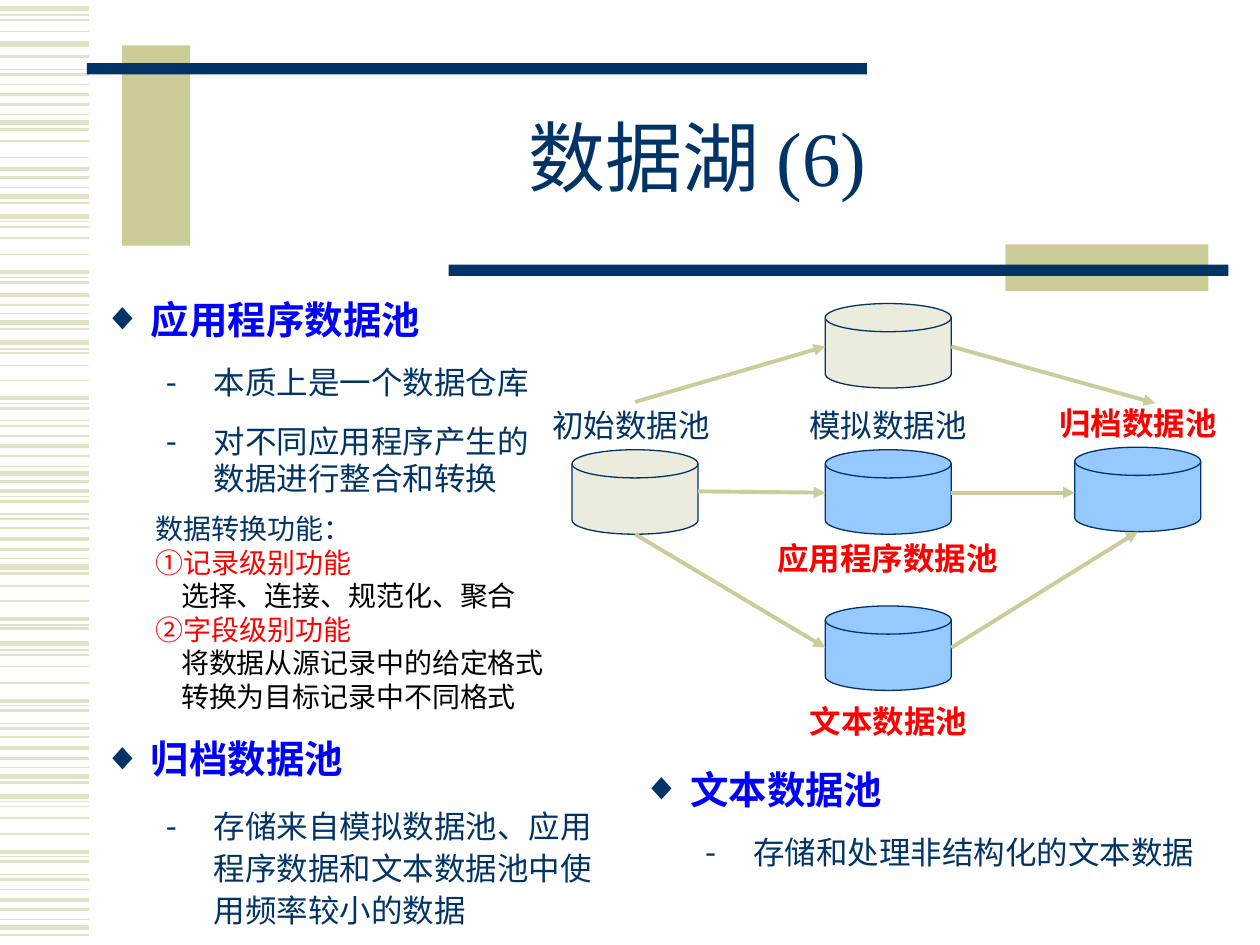
from lxml import etree
from pptx import Presentation
from pptx.dml.color import RGBColor
from pptx.enum import shapes, text
from pptx.oxml import ns
from pptx.util import Inches, Pt

COLORS = {"navy": "003366", "khaki": "CCCC99", "stripe": "E3E2C7", "blue": "0000FF",
          "red": "FF0000", "black": "000000", "cream": "ECECDE", "sky": "95C9FF"}
FONT = "Times New Roman"

deck = Presentation()
deck.slide_width, deck.slide_height = Inches(10), Inches(7.5)
slide = deck.slides.add_slide(deck.slide_layouts[6])


def add_line(start, end, color, weight, arrow=False):
    line = slide.shapes.add_connector(
        shapes.MSO_CONNECTOR.STRAIGHT, *[Inches(v) for v in (*start, *end)])
    line.line.color.rgb = RGBColor.from_string(COLORS[color])
    line.line.width = Pt(weight)
    if arrow:
        etree.SubElement(line.line._get_or_add_ln(), ns.qn("a:tailEnd"), type="triangle")
    etree.SubElement(line._element.spPr, ns.qn("a:effectLst"))


def add_run(paragraph, wording, size, color, bold=False):
    run = paragraph.add_run()
    run.text = wording
    run.font.size, run.font.bold, run.font.name = Pt(size), bold, FONT
    run.font.color.rgb = RGBColor.from_string(COLORS[color])


stripes = {
    0.75: [0.12, 0.55, 0.91, 1.49, 1.76, 2.2, 2.49, 2.77, 3.2, 3.34, 3.7, 3.94, 4.08, 4.43,
           4.96, 5.16, 5.6, 5.74, 6.09, 6.36, 6.8, 6.94, 7.3],
    1: [0.16, 0.25, 0.67, 1.12, 1.25, 1.8, 1.89, 2.02, 2.8, 2.9, 3.02, 3.46, 4.19, 4.65,
        4.77, 5.2, 5.29, 5.42, 5.85, 6.4, 6.49, 6.62, 7.06],
    1.5: [0.45, 0.59, 0.83, 1.03, 1.41, 1.61, 2.24, 2.42, 2.61, 3.24, 3.38, 3.62, 3.82, 3.98,
          4.12, 4.36, 4.55, 4.99, 5.64, 5.78, 6.02, 6.21, 6.84, 6.98, 7.22, 7.42],
    2.25: [0.75, 1.34, 2.16, 2.34, 3.16, 3.54, 3.9, 4.28, 4.91, 5.56, 5.94, 6.76, 7.14],
    3: [0.07, 0.35, 0.97, 1.56, 1.72, 2.56, 2.72, 3.76, 4.5, 5.11, 6.16, 6.32, 7.36],
}
for weight, heights in stripes.items():
    for y in heights:
        add_line((0, y), (0.71, y), "stripe", weight)

for *place, color in [(0.97, 0.36, 0.54, 1.59, "khaki"), (0.69, 0.5, 6.19, 0.09, "navy"),
                      (7.98, 1.94, 1.61, 0.37, "khaki"), (3.56, 2.1, 6.19, 0.09, "navy")]:
    bar = slide.shapes.add_shape(shapes.MSO_SHAPE.RECTANGLE, *[Inches(v) for v in place])
    bar.shadow.inherit = False
    bar.fill.solid()
    bar.fill.fore_color.rgb = RGBColor.from_string(COLORS[color])
    bar.line.fill.background()

title = slide.shapes.add_textbox(Inches(1.5), Inches(0.67), Inches(8.07), Inches(1.25)).text_frame
title.word_wrap = True
title.vertical_anchor = text.MSO_ANCHOR.MIDDLE
title.paragraphs[0].alignment = text.PP_ALIGN.CENTER
title.paragraphs[0].line_spacing = 0.85
add_run(title.paragraphs[0], "数据湖 (6)", 44, "navy")

for left, top, color in [(4.54, 3.57, "cream"), (6.55, 2.41, "cream"), (6.55, 3.57, "sky"),
                         (6.55, 4.81, "sky"), (8.53, 3.55, "sky")]:
    pond = slide.shapes.add_shape(shapes.MSO_SHAPE.FLOWCHART_MAGNETIC_DISK, Inches(left),
                                  Inches(top), Inches(1), Inches(0.67))
    pond.shadow.inherit = False
    pond.fill.solid()
    pond.fill.fore_color.rgb = RGBColor.from_string(COLORS[color])
    pond.line.color.rgb = RGBColor.from_string(COLORS["navy"])
    pond.line.width = Pt(0.75)

for start, end in [((5.04, 3.19), (6.55, 2.75)), ((5.04, 4.24), (6.55, 5.14)),
                   ((5.54, 3.9), (6.55, 3.91)), ((7.55, 2.75), (9.17, 3.2)),
                   ((7.55, 3.91), (8.53, 3.91)), ((7.55, 5.14), (9.03, 4.22))]:
    add_line(start, end, "khaki", 2.25, arrow=True)

for wording, left, top, width, color in [
        ("初始数据池", 4.16, 3.04, 1.7, "navy"), ("模拟数据池", 6.18, 3.04, 1.74, "navy"),
        ("应用程序数据池", 5.94, 4.1, 2.21, "red"), ("文本数据池", 6.21, 5.39, 1.68, "red"),
        ("归档数据池", 8.17, 3.03, 1.72, "red")]:
    label = slide.shapes.add_shape(shapes.MSO_SHAPE.ROUNDED_RECTANGLE, Inches(left),
                                   Inches(top), Inches(width), Inches(0.66))
    label.shadow.inherit = False
    label.fill.background()
    label.line.fill.background()
    label.text_frame.vertical_anchor = text.MSO_ANCHOR.MIDDLE
    label.text_frame.paragraphs[0].alignment = text.PP_ALIGN.CENTER
    add_run(label.text_frame.paragraphs[0], wording, 18, color, bold=color == "red")

functions = slide.shapes.add_textbox(Inches(1.06), Inches(4.01), Inches(3.56), Inches(1.72)).text_frame
functions.word_wrap = True
for number, (lines, margin, color) in enumerate([
        (["数据转换功能："], 0.08, "navy"), (["①记录级别功能"], 0.08, "red"),
        (["选择、连接、规范化、聚合"], 0.28, "black"), (["②字段级别功能"], 0.08, "red"),
        (["将数据从源记录中的给定格式", "转换为目标记录中不同格式"], 0.28, "black")]):
    paragraph = functions.add_paragraph() if number else functions.paragraphs[0]
    paragraph.level = 1
    paragraph._p.get_or_add_pPr().set("marL", str(Inches(margin)))
    paragraph._p.get_or_add_pPr().set("indent", "0")
    for row, wording in enumerate(lines):
        if row:
            paragraph.add_line_break()
        add_run(paragraph, wording, 16, color)

for *place, heading, points, point_spacing in [
        (0.72, 2.33, 3.66, 1.69, "应用程序数据池",
         ["本质上是一个数据仓库", "对不同应用程序产生的数据进行整合和转换"], None),
        (5, 6.06, 4.8, 0.94, "文本数据池", ["存储和处理非结构化的文本数据"], None),
        (0.72, 5.82, 4.13, 1.59, "归档数据池",
         ["存储来自模拟数据池、应用程序数据和文本数据池中使用频率较小的数据"], Pt(24))]:
    section = slide.shapes.add_textbox(*[Inches(v) for v in place]).text_frame
    section.word_wrap = True
    for number, wording in enumerate([heading, *points]):
        paragraph = section.add_paragraph() if number else section.paragraphs[0]
        paragraph.level = 1 if number else 0
        paragraph.line_spacing = point_spacing if number else Pt(24)
        paragraph.space_before = paragraph.space_after = Pt(6)
        properties = paragraph._p.get_or_add_pPr()
        properties.set("marL", str(Inches(0.88 if number else 0.38)))
        properties.set("indent", str(Inches(-0.38)))
        bullet_color = etree.SubElement(properties, ns.qn("a:buClr"))
        etree.SubElement(bullet_color, ns.qn("a:srgbClr"), val=COLORS["navy"])
        etree.SubElement(properties, ns.qn("a:buFont"), typeface=FONT)
        etree.SubElement(properties, ns.qn("a:buChar"), char="-" if number else "◆")
        if number:
            add_run(paragraph, wording, 18, "navy")
        else:
            add_run(paragraph, wording, 22, "blue", bold=True)

deck.save("out.pptx")
